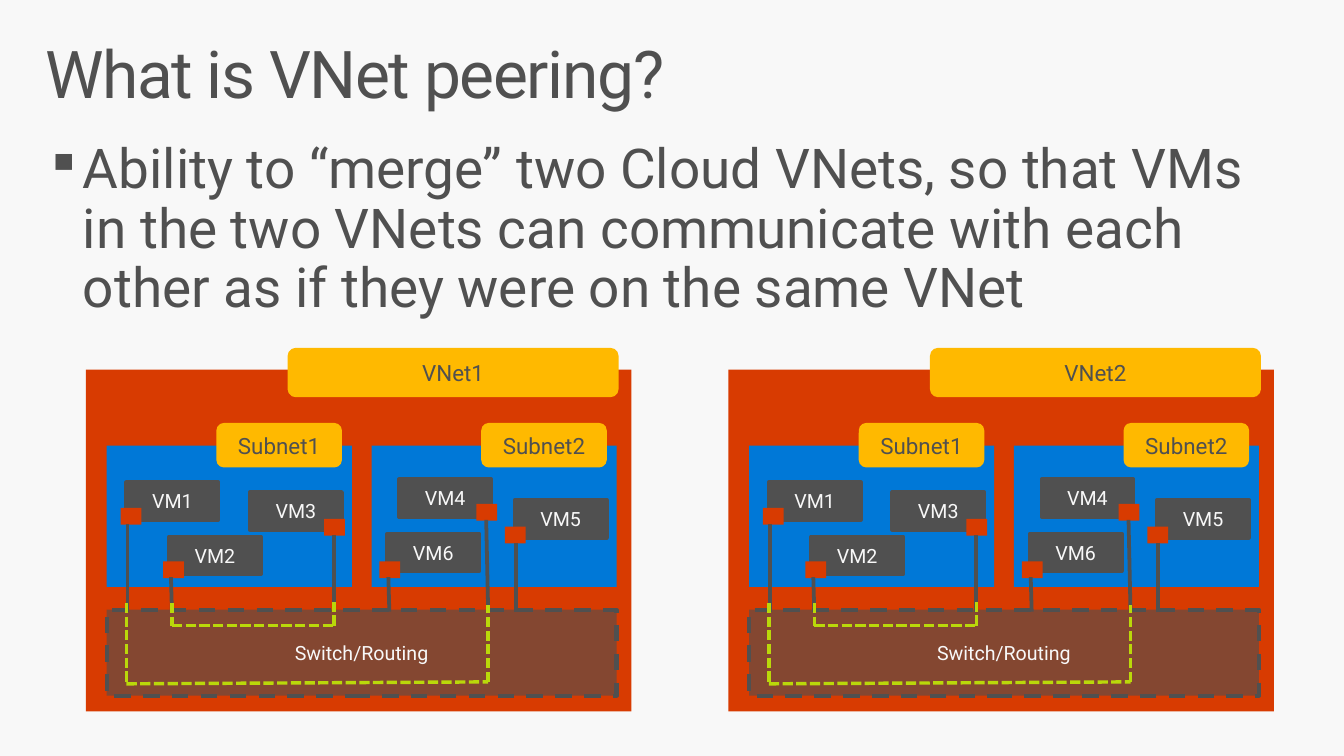
from dataclasses import dataclass

from lxml.etree import SubElement
from pptx import Presentation
from pptx.dml.color import RGBColor
from pptx.enum.dml import MSO_LINE
from pptx.enum.shapes import MSO_CONNECTOR, MSO_SHAPE
from pptx.enum.text import MSO_ANCHOR, PP_ALIGN
from pptx.oxml.ns import qn
from pptx.shapes.autoshape import Shape
from pptx.shapes.shapetree import GroupShapes, SlideShapes
from pptx.text.text import _Paragraph as Paragraph
from pptx.util import Inches, Pt

FONT = "Roboto"
GREY, PALE, RED = "505050", "F8F8F8", "D83B01"
BLUE, YELLOW, LIME = "0078D7", "FFB900", "BAD80A"


@dataclass(frozen=True)
class Machine:
    name: str
    left: float
    top: float
    card_left: float
    card_top: float
    wire_x: float
    switch_x: float


@dataclass(frozen=True)
class Subnet:
    name: str
    left: float
    label_left: float
    machines: tuple[Machine, ...]


@dataclass(frozen=True)
class Network:
    name: str
    left: float


@dataclass(frozen=True)
class Route:
    points: tuple[tuple[float, float], ...]


SUBNETS = (
    Subnet("Subnet1", 0.21, 1.32, (
        Machine("VM1", 0.41, 1.14, 0.35, 1.4, 0.42, 0.42),
        Machine("VM2", 0.84, 1.69, 0.78, 1.94, 0.86, 0.87),
        Machine("VM3", 1.66, 1.24, 2.41, 1.51, 2.51, 2.51),
    )),
    Subnet("Subnet2", 2.89, 4, (
        Machine("VM4", 3.17, 1.11, 3.95, 1.36, 4.05, 4.07),
        Machine("VM6", 3.05, 1.66, 2.97, 1.94, 3.06, 3.07),
        Machine("VM5", 4.34, 1.32, 4.24, 1.59, 4.35, 4.35),
    )),
)
ROUTES = (
    Route(((0.87, 2.36), (0.87, 2.59), (2.51, 2.59), (2.51, 2.35))),
    Route(((0.41, 2.36), (0.41, 3.18), (4.07, 3.16), (4.07, 2.38))),
)
NETWORKS = (Network("VNet1", 0.87), Network("VNet2", 7.37))
NETWORK_TOP = 3.74


def color(value: str) -> RGBColor:
    return RGBColor.from_string(value)


def style(para: Paragraph, size: float, ink: str) -> None:
    para.font.name = FONT
    para.font.size = Pt(size)
    para.font.color.rgb = color(ink)


def add_block(shapes: GroupShapes, left: float, top: float, width: float, height: float,
              fill: str, kind: MSO_SHAPE = MSO_SHAPE.RECTANGLE) -> Shape:
    block = shapes.add_shape(kind, Inches(left), Inches(top), Inches(width), Inches(height))
    block.shadow.inherit = False
    block.fill.solid()
    block.fill.fore_color.rgb = color(fill)
    block.line.fill.background()
    return block


def outline(block: Shape) -> None:
    block.line.color.rgb = color(GREY)
    block.line.width = Pt(3)


def write_label(block: Shape, text: str, size: float, ink: str) -> None:
    frame = block.text_frame
    frame.margin_left = frame.margin_right = 0
    frame.vertical_anchor = MSO_ANCHOR.MIDDLE
    para = frame.paragraphs[0]
    para.text = text
    para.alignment = PP_ALIGN.CENTER
    style(para, size, ink)


def add_tag(shapes: GroupShapes, text: str, left: float, top: float,
            width: float, height: float) -> None:
    tag = add_block(shapes, left, top, width, height, YELLOW, MSO_SHAPE.ROUNDED_RECTANGLE)
    write_label(tag, text, 16.3, GREY)


def add_line(shapes: GroupShapes, start: tuple[float, float], end: tuple[float, float],
             ink: str, width: float, dash: MSO_LINE | None = None) -> None:
    line = shapes.add_connector(MSO_CONNECTOR.STRAIGHT, *map(Inches, start + end))
    line.line.color.rgb = color(ink)
    line.line.width = Pt(width)
    line.line.dash_style = dash
    SubElement(line._element.spPr, qn("a:effectLst"))


def add_subnet(shapes: GroupShapes, subnet: Subnet, x: float, y: float) -> None:
    add_block(shapes, x + subnet.left, y + 0.77, 2.48, 1.43, BLUE)
    for machine in subnet.machines:
        box = add_block(shapes, x + machine.left, y + machine.top, 0.93, 0.38, GREY)
        outline(box)
        write_label(box, machine.name, 14.3, PALE)
    add_tag(shapes, subnet.name, x + subnet.label_left, y + 0.54, 1.27, 0.45)


def add_switch(shapes: GroupShapes, x: float, y: float) -> None:
    switch = add_block(shapes, x + 0.21, y + 2.43, 5.16, 0.87, GREY)
    fill_color = switch._element.spPr.find(qn("a:solidFill"))[0]
    SubElement(fill_color, qn("a:alpha"), val="61000")
    outline(switch)
    switch.line.dash_style = MSO_LINE.DASH
    write_label(switch, "Switch/Routing", 14.3, PALE)


def add_network(slide_shapes: SlideShapes, network: Network) -> None:
    shapes = slide_shapes.add_group_shape().shapes
    x, y = network.left, NETWORK_TOP
    add_block(shapes, x, y, 5.52, 3.46, RED)
    add_tag(shapes, network.name, x + 2.04, y - 0.22, 3.35, 0.5)
    for subnet in SUBNETS:
        add_subnet(shapes, subnet, x, y)
    add_switch(shapes, x, y)
    machines = [machine for subnet in SUBNETS for machine in subnet.machines]
    for machine in machines:
        add_block(shapes, x + machine.card_left, y + machine.card_top, 0.21, 0.17, RED)
    for machine in machines:
        add_line(shapes, (x + machine.wire_x, y + machine.card_top + 0.16),
                 (x + machine.switch_x, y + 2.45), GREY, 2.75)
    for route in ROUTES:
        points = [(x + across, y + down) for across, down in route.points]
        for start, end in zip(points, points[1:]):
            add_line(shapes, start, end, LIME, 2.5, MSO_LINE.SQUARE_DOT)


def add_text(shapes: SlideShapes, text: str, top: float, height: float) -> Paragraph:
    box = shapes.add_textbox(Inches(0.3), Inches(top), Inches(13), Inches(height))
    frame = box.text_frame
    frame.word_wrap = True
    frame.margin_left = frame.margin_right = Inches(0.16)
    frame.margin_top = frame.margin_bottom = Inches(0.1)
    para = frame.paragraphs[0]
    para.text = text
    para.line_spacing = 0.9
    return para


def add_bullet(para: Paragraph) -> None:
    properties = para._p.get_or_add_pPr()
    properties.set("marL", str(Inches(0.38)))
    properties.set("indent", str(Inches(-0.38)))
    SubElement(properties, qn("a:buSzPct"), val="90000")
    SubElement(properties, qn("a:buChar"), char="▪")


def main() -> None:
    deck = Presentation()
    deck.slide_width, deck.slide_height = Inches(13.6), Inches(7.65)
    page = deck.slides.add_slide(deck.slide_layouts[6])
    page.background.fill.solid()
    page.background.fill.fore_color.rgb = color(PALE)

    title = add_text(page.shapes, "What is VNet peering?", 0.32, 1)
    style(title, 48, GREY)
    title.runs[0]._r.get_or_add_rPr().set("spc", "-100")

    summary = add_text(
        page.shapes,
        "Ability to “merge” two Cloud VNets, so that VMs in the two VNets can "
        "communicate with each other as if they were on the same VNet",
        1.33, 2.02)
    add_bullet(summary)
    style(summary, 40, GREY)

    for network in NETWORKS:
        add_network(page.shapes, network)
    deck.save("out.pptx")


if __name__ == "__main__":
    main()
